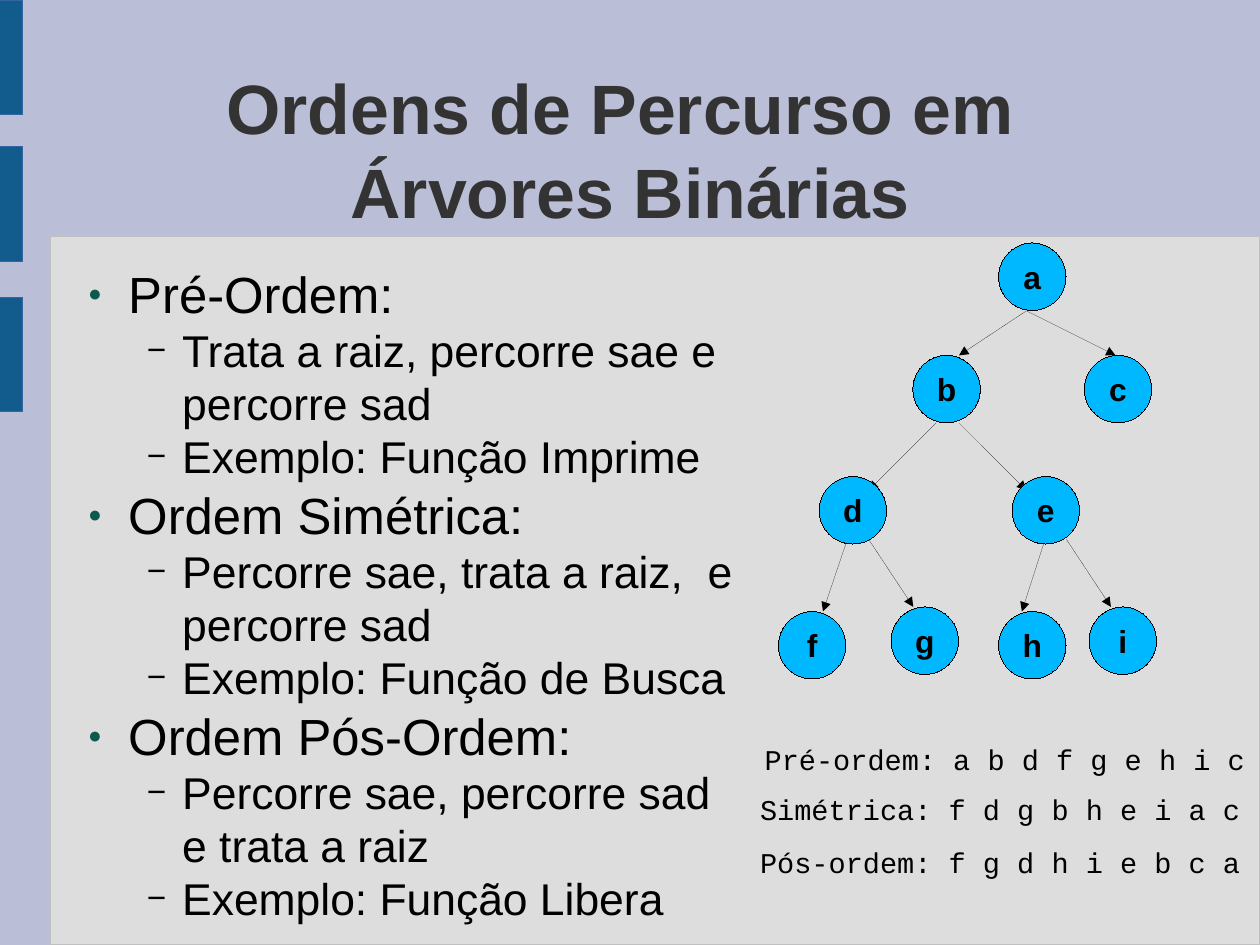
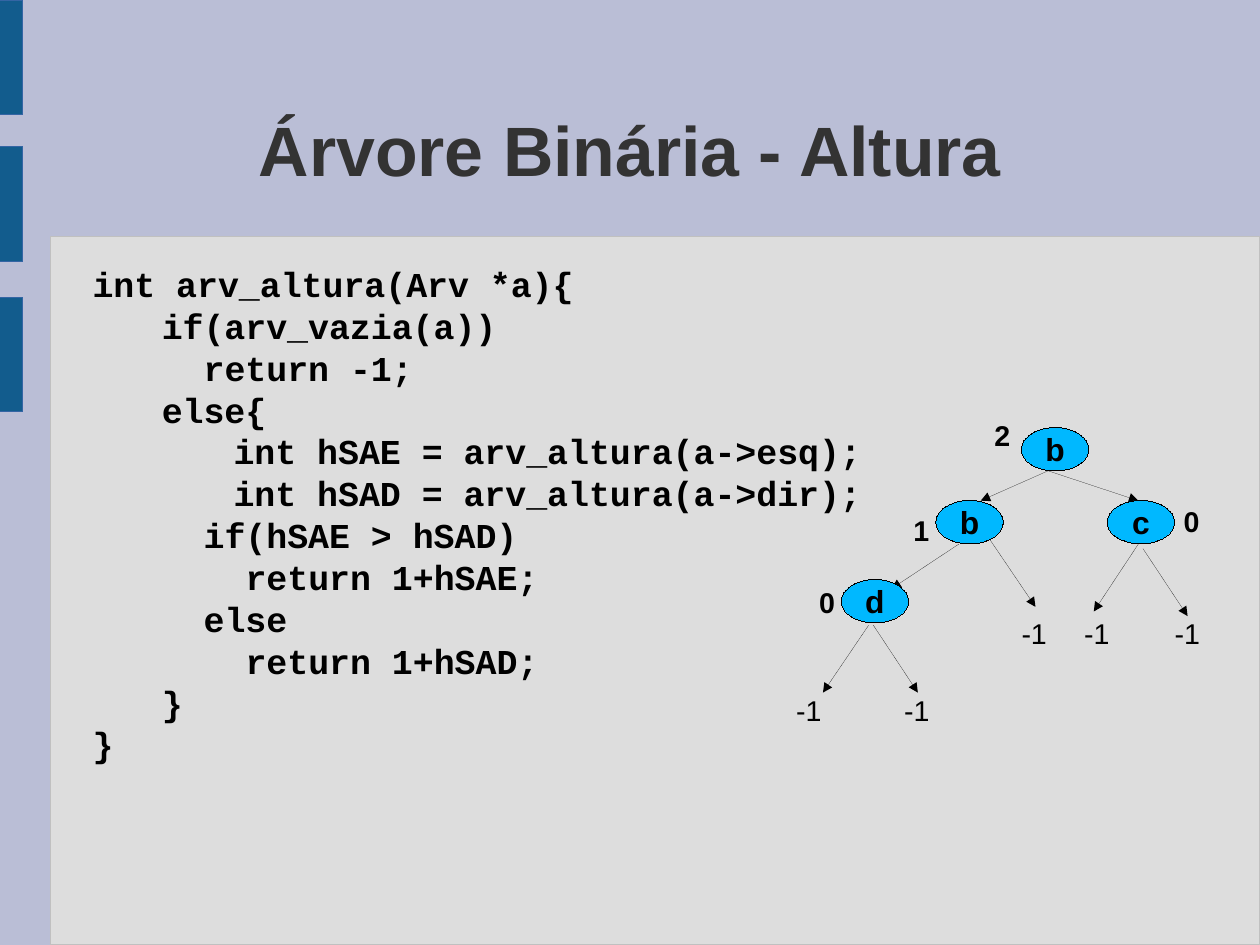
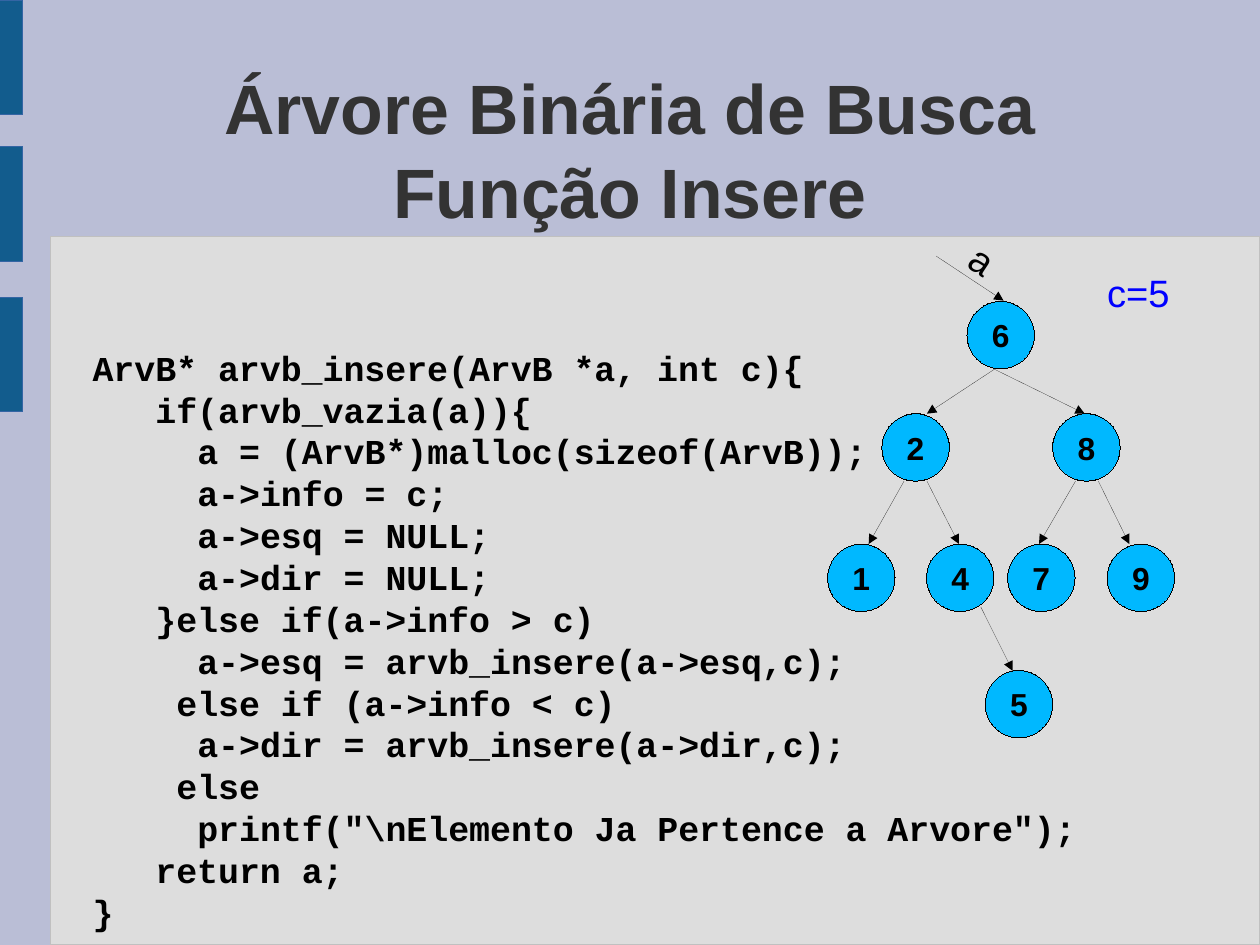
from lxml import etree
from pptx import Presentation
from pptx.dml.color import RGBColor
from pptx.enum.shapes import MSO_CONNECTOR, MSO_SHAPE
from pptx.enum.text import MSO_ANCHOR, MSO_AUTO_SIZE, PP_ALIGN
from pptx.oxml.ns import qn
from pptx.util import Pt

RECT, OVAL = MSO_SHAPE.RECTANGLE, MSO_SHAPE.OVAL
STRAIGHT = MSO_CONNECTOR.STRAIGHT
MIDDLE, CENTER, LEFT = MSO_ANCHOR.MIDDLE, PP_ALIGN.CENTER, PP_ALIGN.LEFT
NO_FIT = MSO_AUTO_SIZE.NONE
SANS, MONO = "Arial", "Courier New"
COLORS = {
    "background": "BABED6", "panel": "DDDDDD", "panel_line": "C0C0C0",
    "band": "125C8D", "band_line": "3465A4", "title": "333333",
    "text": "000000", "node": "00B8FF", "bullet": "0E594D", "value": "0000FF",
}
CODE_LEADING = 26.35
CODE_TOP = 165.5
NODE_W = 42.5
HAIRLINE = Pt(0.01)


def write(shape, lines, size, font=SANS, color="text", bold=False, align=LEFT,
          anchor=None, wrap=False):
    tf = shape.text_frame
    tf.auto_size = NO_FIT
    tf.word_wrap = wrap
    tf.margin_left = tf.margin_right = tf.margin_top = tf.margin_bottom = 0
    if anchor is not None:
        tf.vertical_anchor = anchor
    p = tf.paragraphs[0]
    p.alignment = align
    for i, line in enumerate(lines):
        if i:
            p.add_line_break()
        r = p.add_run()
        r.text = line
        r.font.size, r.font.name, r.font.bold = Pt(size), font, bold
        r.font.color.rgb = RGBColor.from_string(COLORS[color])
    return p


def add_filled(s, kind, x, y, w, h, fill, line):
    sp = s.shapes.add_shape(kind, Pt(x), Pt(y), Pt(w), Pt(h))
    sp.shadow.inherit = False
    sp.fill.solid()
    sp.fill.fore_color.rgb = RGBColor.from_string(COLORS[fill])
    sp.line.color.rgb = RGBColor.from_string(COLORS[line])
    sp.line.width = HAIRLINE
    return sp


SLIDES = [
    {
        "title": ["Ordens de Percurso em ", "Árvores Binárias"],
        "node_h": 42.5,
        "nodes": [
            ("a", 629, 153), ("b", 575, 223.8), ("c", 683, 223.8),
            ("d", 516, 300.2), ("e", 637.5, 300.2), ("f", 490.3, 385.2),
            ("g", 561.3, 382.3), ("h", 629, 385.2), ("i", 686, 382.3),
        ],
        "edges": [
            (646.6, 195.8, 604.1, 223.9), (646.6, 195.8, 702.7, 223.9),
            (589.7, 266.4, 547.2, 308.9), (604.1, 266.4, 646.6, 308.9),
            (532.8, 342.7, 518.4, 385.2), (547.2, 339.8, 575.3, 382.3),
            (657.4, 342.7, 643.7, 385.2), (671.8, 339.8, 699.8, 382.3),
        ],
        "labels": [
            ("Pré-ordem: a b d f g e h i c", 481.7, 467.6, 18, MONO, "text", False, 0),
            ("Simétrica: f d g b h e i a c", 478.8, 498.6, 18, MONO, "text", False, 0),
            ("Pós-ordem: f g d h i e b c a", 478.8, 532.4, 18, MONO, "text", False, 0),
        ],
        "code_top": CODE_TOP,
        "code": [],
        "bullets": [
            (0, "Pré-Ordem:"),
            (1, "Trata a raiz, percorre sae e percorre sad"),
            (1, "Exemplo: Função Imprime"),
            (0, "Ordem Simétrica:"),
            (1, "Percorre sae, trata a raiz,  e percorre sad"),
            (1, "Exemplo: Função de Busca"),
            (0, "Ordem Pós-Ordem:"),
            (1, "Percorre sae, percorre sad e trata a raiz"),
            (1, "Exemplo: Função Libera"),
        ],
    },
    {
        "title": ["Árvore Binária - Altura"],
        "node_h": 27.4,
        "nodes": [
            ("b", 643.4, 269.3), ("b", 589.5, 315.2),
            ("c", 697.4, 315.2), ("d", 529.9, 365),
        ],
        "edges": [
            (660.2, 296.6, 617.8, 315.4), (660.2, 296.6, 717.1, 315.4),
            (604.1, 342.7, 561.6, 370.8), (623.5, 339.8, 652.3, 382.3),
            (547.2, 393.8, 518.4, 436.3), (550.1, 393.8, 578.2, 436.3),
            (717.1, 342.7, 689, 385.2), (720, 345.6, 748.1, 388.1),
        ],
        "labels": [
            ("2", 626.4, 263.5, 18, SANS, "text", True, 0),
            ("1", 575.3, 323, 18, SANS, "text", True, 0),
            ("0", 745.6, 317.5, 18, SANS, "text", True, 0),
            ("0", 516, 368.3, 18, SANS, "text", True, 0),
            ("-1", 501.6, 436.3, 18, SANS, "text", False, 0),
            ("-1", 569.5, 436.3, 18, SANS, "text", False, 0),
            ("-1", 643.5, 388.1, 18, SANS, "text", False, 0),
            ("-1", 683, 388.1, 18, SANS, "text", False, 0),
            ("-1", 740, 388.1, 18, SANS, "text", False, 0),
        ],
        "code_top": CODE_TOP,
        "code": [
            (0, "int arv_altura(Arv *a){"),
            (43.6, "if(arv_vazia(a))"),
            (70, "return -1;"),
            (43.6, "else{"),
            (88.8, "int hSAE = arv_altura(a->esq);"),
            (88.8, "int hSAD = arv_altura(a->dir);"),
            (70, "if(hSAE > hSAD)"),
            (96.4, "return 1+hSAE;"),
            (70, "else"),
            (96.4, "return 1+hSAD;"),
            (43.6, "}"),
            (0, "}"),
        ],
        "bullets": [],
    },
    {
        "title": ["Árvore Binária de Busca", "Função Insere"],
        "node_h": 42.5,
        "nodes": [
            ("6", 609.1, 189.8), ("2", 555.5, 260.6), ("8", 663.1, 260.6),
            ("1", 521.3, 342.7), ("4", 583.6, 342.7), ("7", 634.7, 342.7),
            ("9", 697.4, 342.7), ("5", 620.6, 422.3),
        ],
        "edges": [
            (589.7, 161.3, 632.2, 189.4),
            (626.4, 232.6, 583.9, 260.6), (626.4, 232.6, 683.3, 260.6),
            (569.5, 303.1, 547.2, 342.7), (583.9, 303.1, 604.1, 342.7),
            (677.5, 303.1, 654.5, 342.7), (691.9, 303.1, 711.4, 342.7),
            (617.8, 382.3, 637.9, 422.6),
        ],
        "labels": [
            ("a", 612.5, 149.5, 24, SANS, "text", False, 33.5),
            ("c=5", 697.4, 169.5, 24, SANS, "value", False, 0),
        ],
        "code_top": CODE_TOP + 2 * CODE_LEADING,
        "code": [
            (0, "ArvB* arvb_insere(ArvB *a, int c){"),
            (39.6, "if(arvb_vazia(a)){"),
            (66, "a = (ArvB*)malloc(sizeof(ArvB));"),
            (66, "a->info = c;"),
            (66, "a->esq = NULL;"),
            (66, "a->dir = NULL;"),
            (39.6, "}else if(a->info > c)"),
            (66, "a->esq = arvb_insere(a->esq,c);"),
            (52.8, "else if (a->info < c)"),
            (66, "a->dir = arvb_insere(a->dir,c);"),
            (52.8, "else"),
            (66, 'printf("\\nElemento Ja Pertence a Arvore");'),
            (39.6, "return a;"),
            (0, "}"),
        ],
        "bullets": [],
    },
]

BULLET_LEVELS = [
    {"size": 32, "leading": 39, "left": 34, "hang": 25.2,
     "char": "●", "color": "bullet", "percent": 45},
    {"size": 28, "leading": 33.4, "left": 68, "hang": 22.3,
     "char": "−", "color": "text", "percent": 75},
]

prs = Presentation()
prs.slide_width, prs.slide_height = Pt(793.7), Pt(595.28)
background = prs.slide_master.background.fill
background.solid()
background.fore_color.rgb = RGBColor.from_string(COLORS["background"])

for content in SLIDES:
    s = prs.slides.add_slide(prs.slide_layouts[5])
    add_filled(s, RECT, 31.9, 149, 761.8, 446.2, "panel", "panel_line")
    for y in (0, 92.2, 187.2):
        add_filled(s, RECT, 0, y, 14.4, 72.3, "band", "band_line")

    title = s.shapes.title
    title.left, title.top, title.width, title.height = Pt(58.3), Pt(43.9), Pt(677.5), Pt(99.4)
    p = write(title, content["title"], 44, color="title", bold=True,
              align=CENTER, anchor=MIDDLE, wrap=True)
    p.line_spacing = Pt(53)

    if content["bullets"]:
        box = s.shapes.add_textbox(Pt(46.8), Pt(165), Pt(423.4), Pt(420))
        tf = box.text_frame
        tf.word_wrap = True
        tf.margin_left = tf.margin_right = tf.margin_top = tf.margin_bottom = 0
        for i, (level, text) in enumerate(content["bullets"]):
            style = BULLET_LEVELS[level]
            p = tf.add_paragraph() if i else tf.paragraphs[0]
            p.level = level
            p.line_spacing = Pt(style["leading"])
            r = p.add_run()
            r.text = text
            r.font.size, r.font.name = Pt(style["size"]), SANS
            r.font.color.rgb = RGBColor.from_string(COLORS["text"])
            pPr = p._p.get_or_add_pPr()
            pPr.set("marL", str(Pt(style["left"])))
            pPr.set("indent", str(-Pt(style["hang"])))
            clr = etree.SubElement(pPr, qn("a:buClr"))
            etree.SubElement(clr, qn("a:srgbClr"), val=COLORS[style["color"]])
            etree.SubElement(pPr, qn("a:buSzPct"), val=str(style["percent"] * 1000))
            etree.SubElement(pPr, qn("a:buFont"), typeface=SANS)
            etree.SubElement(pPr, qn("a:buChar"), char=style["char"])

    if content["code"]:
        box = s.shapes.add_textbox(Pt(58.3), Pt(content["code_top"]), Pt(677.5),
                                   Pt(CODE_LEADING * len(content["code"])))
        tf = box.text_frame
        tf.word_wrap = True
        tf.margin_left = tf.margin_right = tf.margin_top = tf.margin_bottom = 0
        for i, (indent, text) in enumerate(content["code"]):
            p = tf.add_paragraph() if i else tf.paragraphs[0]
            p.line_spacing = Pt(CODE_LEADING)
            p._p.get_or_add_pPr().set("marL", str(Pt(indent)))
            r = p.add_run()
            r.text = text
            r.font.size, r.font.name, r.font.bold = Pt(22), MONO, True
            r.font.color.rgb = RGBColor.from_string(COLORS["text"])

    for x1, y1, x2, y2 in content["edges"]:
        edge = s.shapes.add_connector(STRAIGHT, Pt(x1), Pt(y1), Pt(x2), Pt(y2))
        edge.line.color.rgb = RGBColor.from_string(COLORS["text"])
        edge.line.width = HAIRLINE
        spPr = edge._element.spPr
        etree.SubElement(spPr.find(qn("a:ln")), qn("a:tailEnd"), type="triangle")
        etree.SubElement(spPr, qn("a:effectLst"))

    for name, x, y in content["nodes"]:
        node = add_filled(s, OVAL, x, y, NODE_W, content["node_h"], "node", "text")
        write(node, [name], 20, bold=True, align=CENTER, anchor=MIDDLE)

    for text, x, y, size, font, color, bold, angle in content["labels"]:
        width = len(text) * size * 0.6
        label = s.shapes.add_textbox(Pt(x), Pt(y), Pt(width), Pt(size * 1.15))
        label.rotation = angle
        write(label, [text], size, font, color, bold)

prs.save("out.pptx")
